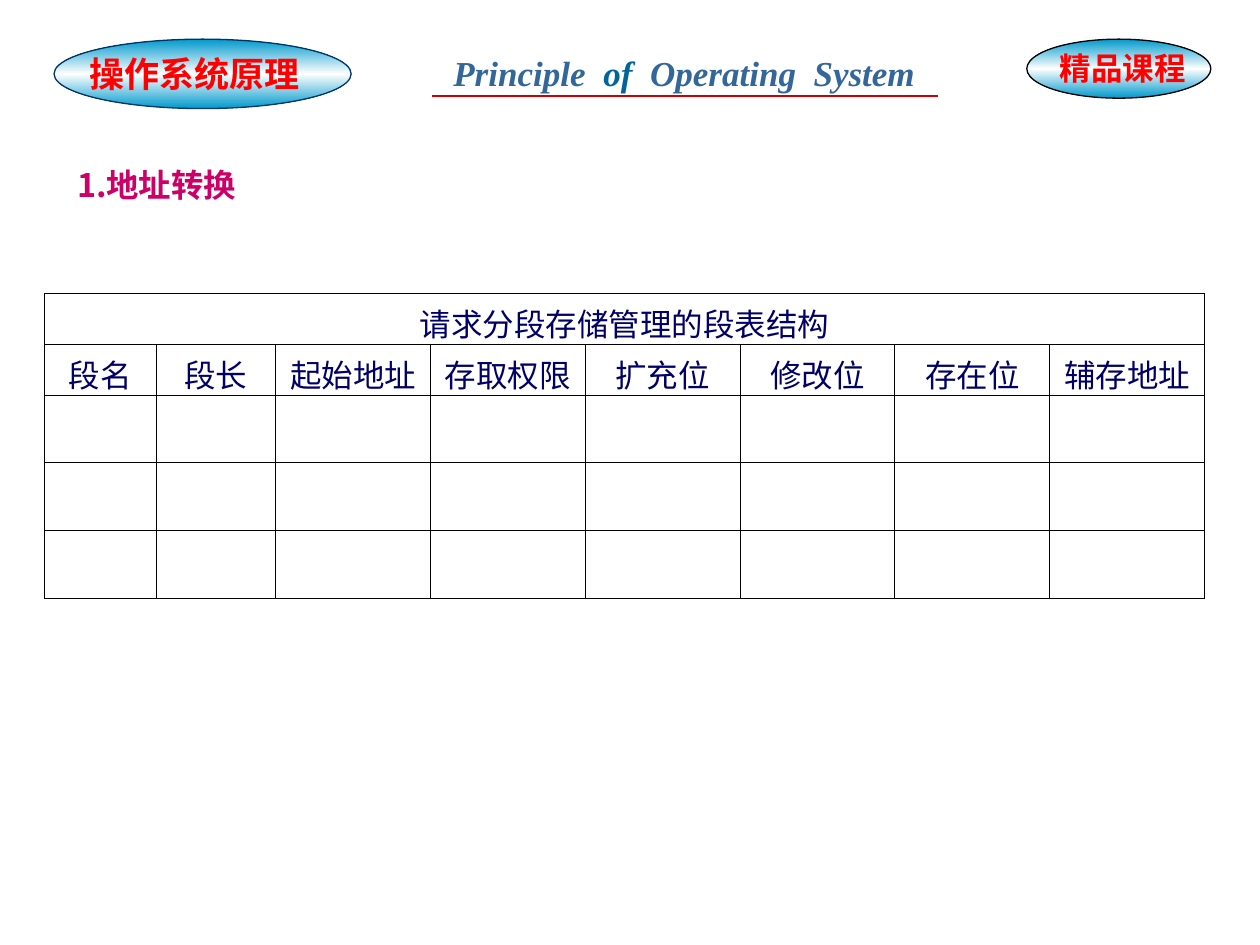
from lxml import etree
from pptx import Presentation
from pptx.dml.color import RGBColor
from pptx.enum.shapes import MSO_CONNECTOR, MSO_SHAPE
from pptx.enum.text import MSO_ANCHOR, MSO_AUTO_SIZE, PP_ALIGN
from pptx.oxml import parse_xml
from pptx.oxml.ns import nsdecls, qn
from pptx.util import Cm, Pt

COLORS = {"teal": "0099CC", "white": "FFFFFF", "navy": "003366", "black": "000000",
          "red": "FF0000", "rule": "CC0000", "steel": "336699", "sea": "006699",
          "heading": "CC0066", "table": "000066"}
SERIF, SANS, CJK = "Times New Roman", "Arial", "Noto Sans CJK JP"

# left, top, width, height in cm, outline
ELLIPSES = [((1.09, 0.79, 5.99, 1.4), "navy"), ((20.7, 0.79, 3.71, 1.19), "black")]

# box, size, font, italic, wrap, runs
BANNERS = [
    ((1.55, 0.94, 4.75, 1.12), 20, SERIF, False, False, [("操作系统原理", "red")]),
    ((8.89, 0.91, 9.98, 1.12), 20, SERIF, True, False,
     [("Principle  ", "steel"), ("of  ", "sea"), ("Operating  System", "steel")]),
    ((21.11, 0.86, 3.51, 1.02), 18, SANS, False, True, [("精品课程", "red")]),
]
RULE = (8.71, 1.93, 18.9, 1.93)

HEADING = "1.地址转换"
HEADING_BOX = (1.3, 3.12, 22.4, 2.21)

TABLE_TITLE = "请求分段存储管理的段表结构"
FIELDS = ["段名", "段长", "起始地址", "存取权限", "扩充位", "修改位", "存在位", "辅存地址"]
TABLE_POS = (0.89, 5.92)
COL_WIDTHS = [2.26, 2.41] + [3.12] * 6
ROW_HEIGHTS = [1.02] * 2 + [1.37] * 3


def rgb(name):
    return RGBColor.from_string(COLORS[name])


def cm(values):
    return [Cm(v) for v in values]


def add_run(p, text, size, font, color, bold=False, italic=False):
    r = p.add_run()
    r.text = text
    r.font.size, r.font.name = Pt(size), font
    r.font.bold, r.font.italic = bold, italic
    r.font.color.rgb = rgb(color)
    rPr = r.font._element
    rPr.set("lang", "zh-CN")
    ea = etree.Element(qn("a:ea"), typeface=CJK)
    rPr.find(qn("a:latin")).addnext(ea)


def add_ellipse(slide, box, outline):
    """Add an ellipse shaded teal, white, teal from top to bottom."""
    sp = slide.shapes.add_shape(MSO_SHAPE.OVAL, *cm(box))
    sp.shadow.inherit = False
    stops = "".join(f'<a:gs pos="{pos}"><a:srgbClr val="{COLORS[c]}"/></a:gs>'
                    for pos, c in [(0, "teal"), (50000, "white"), (100000, "teal")])
    grad = parse_xml(f'<a:gradFill {nsdecls("a")} rotWithShape="1"><a:gsLst>{stops}</a:gsLst>'
                     '<a:lin ang="5400000" scaled="1"/></a:gradFill>')
    sp._element.spPr.find(qn("a:prstGeom")).addnext(grad)
    sp.line.color.rgb = rgb(outline)
    sp.line.width = Pt(0.75)


def add_banner(slide, box, size, font, italic, wrap, runs):
    tf = slide.shapes.add_textbox(*cm(box)).text_frame
    tf.word_wrap = wrap
    tf.auto_size = MSO_AUTO_SIZE.SHAPE_TO_FIT_TEXT
    for text, color in runs:
        add_run(tf.paragraphs[0], text, size, font, color, bold=True, italic=italic)


def add_rule(slide):
    line = slide.shapes.add_connector(MSO_CONNECTOR.STRAIGHT, *cm(RULE))
    line.line.color.rgb = rgb("rule")
    line.line.width = Pt(1)
    etree.SubElement(line._element.spPr, qn("a:effectLst"))


def set_heading(slide):
    title = slide.shapes.title
    title.left, title.top, title.width, title.height = cm(HEADING_BOX)
    tf = title.text_frame
    tf.vertical_anchor = MSO_ANCHOR.TOP
    tf.auto_size = MSO_AUTO_SIZE.NONE
    p = tf.paragraphs[0]
    p.alignment = PP_ALIGN.LEFT
    p.line_spacing = 1.1
    p.space_before = Pt(0)
    add_run(p, HEADING, 18.5, CJK, "heading", bold=True)


def set_borders(cell):
    tcPr = cell._tc.get_or_add_tcPr()
    for i, side in enumerate(("lnL", "lnR", "lnT", "lnB")):
        tcPr.insert(i, parse_xml(
            f'<a:{side} {nsdecls("a")} w="{Pt(0.45)}"><a:solidFill>'
            f'<a:srgbClr val="{COLORS["black"]}"/></a:solidFill></a:{side}>'))


def add_segment_table(slide):
    frame = slide.shapes.add_table(len(ROW_HEIGHTS), len(COL_WIDTHS), *cm(TABLE_POS),
                                   Cm(sum(COL_WIDTHS)), Cm(sum(ROW_HEIGHTS)))
    table = frame.table
    table.first_row = table.horz_banding = False
    for col, width in zip(table.columns, COL_WIDTHS):
        col.width = Cm(width)
    for row, height in zip(table.rows, ROW_HEIGHTS):
        row.height = Cm(height)
    for cell in table.iter_cells():
        cell.fill.background()
        set_borders(cell)
    table.cell(0, 0).merge(table.cell(0, len(FIELDS) - 1))
    labels = [(0, 0, TABLE_TITLE)] + [(1, c, name) for c, name in enumerate(FIELDS)]
    for row, col, text in labels:
        p = table.cell(row, col).text_frame.paragraphs[0]
        p.alignment = PP_ALIGN.CENTER
        add_run(p, text, 18, SERIF, "table")


def main():
    prs = Presentation()
    prs.slide_width, prs.slide_height = Cm(25.4), Cm(19.05)
    slide = prs.slides.add_slide(prs.slide_layouts[5])
    for box, outline in ELLIPSES:
        add_ellipse(slide, box, outline)
    for banner in BANNERS:
        add_banner(slide, *banner)
    add_rule(slide)
    set_heading(slide)
    add_segment_table(slide)
    prs.save("out.pptx")


if __name__ == "__main__":
    main()
